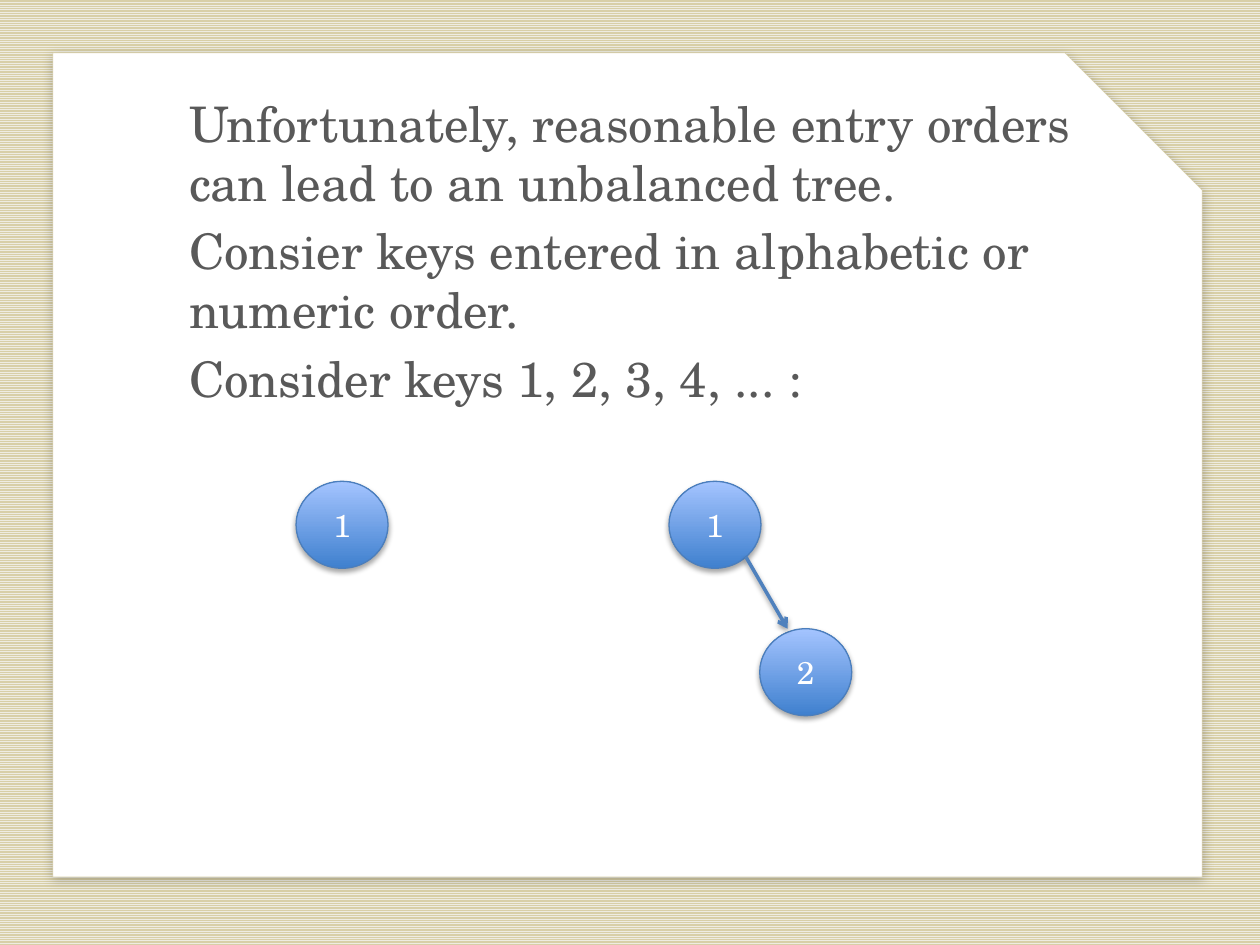
from pptx import Presentation
from pptx.dml.color import RGBColor
from pptx.enum.dml import MSO_PATTERN
from pptx.enum.shapes import MSO_CONNECTOR, MSO_SHAPE
from pptx.enum.text import MSO_ANCHOR, MSO_AUTO_SIZE, PP_ALIGN
from pptx.oxml import parse_xml
from pptx.oxml.ns import nsdecls
from pptx.util import Inches, Pt

NARROW = MSO_PATTERN.NARROW_HORIZONTAL
SNIP, OVAL = MSO_SHAPE.SNIP_1_RECTANGLE, MSO_SHAPE.OVAL
STRAIGHT = MSO_CONNECTOR.STRAIGHT
LEFT, CENTER = PP_ALIGN.LEFT, PP_ALIGN.CENTER
TOP, MIDDLE = MSO_ANCHOR.TOP, MSO_ANCHOR.MIDDLE
NO_FIT = MSO_AUTO_SIZE.NONE

FONT = "TeX Gyre Schola"
PARAGRAPHS = [
    "Unfortunately, reasonable entry orders can lead to an unbalanced tree.",
    "Consier keys entered in alphabetic or numeric order.",
    "Consider keys 1, 2, 3, 4, ... :",
]
NODE_SIZE = (0.73, 0.69)
NODES = [("1", 2.35, 3.82), ("1", 5.31, 3.82), ("2", 6.03, 4.99)]
EDGES = [((5.92, 4.42), (6.25, 4.99))]


def rgb(value):
    """Return the colour for a hex string."""
    return RGBColor.from_string(value)


def place(sp, *box):
    """Set left, top, width and height in inches."""
    sp.left, sp.top, sp.width, sp.height = map(Inches, box)


def set_line(sp, color, width):
    """Give a shape or connector a solid line."""
    sp.line.color.rgb = rgb(color)
    sp.line.width = Pt(width)


def add_shadow(sp, alpha, blur, dist, angle):
    """Add a black outer shadow; blur and distance are in points."""
    sp._element.spPr.append(parse_xml(
        f'<a:effectLst {nsdecls("a")}><a:outerShdw blurRad="{Pt(blur)}" '
        f'dist="{Pt(dist)}" dir="{angle * 60000}" rotWithShape="0">'
        f'<a:srgbClr val="000000"><a:alpha val="{alpha * 1000}"/></a:srgbClr>'
        '</a:outerShdw></a:effectLst>'))


def add_text(p, text, size, color, align):
    """Add one formatted run to a paragraph."""
    p.alignment = align
    r = p.add_run()
    r.text = text
    r.font.name, r.font.size = FONT, Pt(size)
    r.font.color.rgb = rgb(color)


def add_panel(s):
    """Add the white snipped sheet behind everything else."""
    sp = s.shapes.add_shape(SNIP, 0, 0, 0, 0)
    place(sp, 0.42, 0.42, 9.12, 6.54)
    sp.fill.solid()
    sp.fill.fore_color.rgb = rgb("FFFFFF")
    set_line(sp, "D8CFA7", 0.25)
    add_shadow(sp, 22, 6, 2, 80)
    s.shapes._spTree.insert(2, sp._element)


def fill_body(sp):
    """Place the subtitle placeholder and write the paragraphs."""
    place(sp, 1.5, 0.74, 7, 5.17)
    tf = sp.text_frame
    tf.margin_left = tf.margin_top = tf.margin_right = tf.margin_bottom = 0
    tf.word_wrap, tf.auto_size, tf.vertical_anchor = True, NO_FIT, TOP
    for i, text in enumerate(PARAGRAPHS):
        p = tf.add_paragraph() if i else tf.paragraphs[0]
        add_text(p, text, 28, "595959", LEFT)


def add_node(s, key, left, top):
    """Add a tree node with its key."""
    sp = s.shapes.add_shape(OVAL, 0, 0, 0, 0)
    place(sp, left, top, *NODE_SIZE)
    sp.fill.gradient()
    sp.fill.gradient_angle = 90
    for stop, color in zip(sp.fill.gradient_stops, ("3F80CE", "A4C4FF")):
        stop.color.rgb = rgb(color)
    set_line(sp, "4B7EBC", 0.75)
    add_shadow(sp, 35, 3.1, 1.8, 90)
    tf = sp.text_frame
    tf.vertical_anchor = MIDDLE
    add_text(tf.paragraphs[0], key, 18, "FFFFFF", CENTER)


def add_edge(s, start, end):
    """Add an arrow from a parent node to its child."""
    sp = s.shapes.add_connector(STRAIGHT, *map(Inches, start + end))
    set_line(sp, "4F81BD", 2)
    sp.line._get_or_add_ln().append(
        parse_xml(f'<a:tailEnd {nsdecls("a")} type="arrow"/>'))
    add_shadow(sp, 38, 3.1, 1.6, 90)


def main():
    """Build the slide and save it."""
    prs = Presentation()
    prs.slide_width, prs.slide_height = Inches(10), Inches(7.5)
    s = prs.slides.add_slide(prs.slide_layouts[0])
    title = s.shapes.title._element
    title.getparent().remove(title)
    bg = s.background.fill
    bg.patterned()
    bg.pattern = NARROW
    bg.fore_color.rgb, bg.back_color.rgb = rgb("EEECE1"), rgb("D8CFA7")
    add_panel(s)
    fill_body(s.placeholders[1])
    for node in NODES:
        add_node(s, *node)
    for edge in EDGES:
        add_edge(s, *edge)
    prs.save("out.pptx")


if __name__ == "__main__":
    main()
